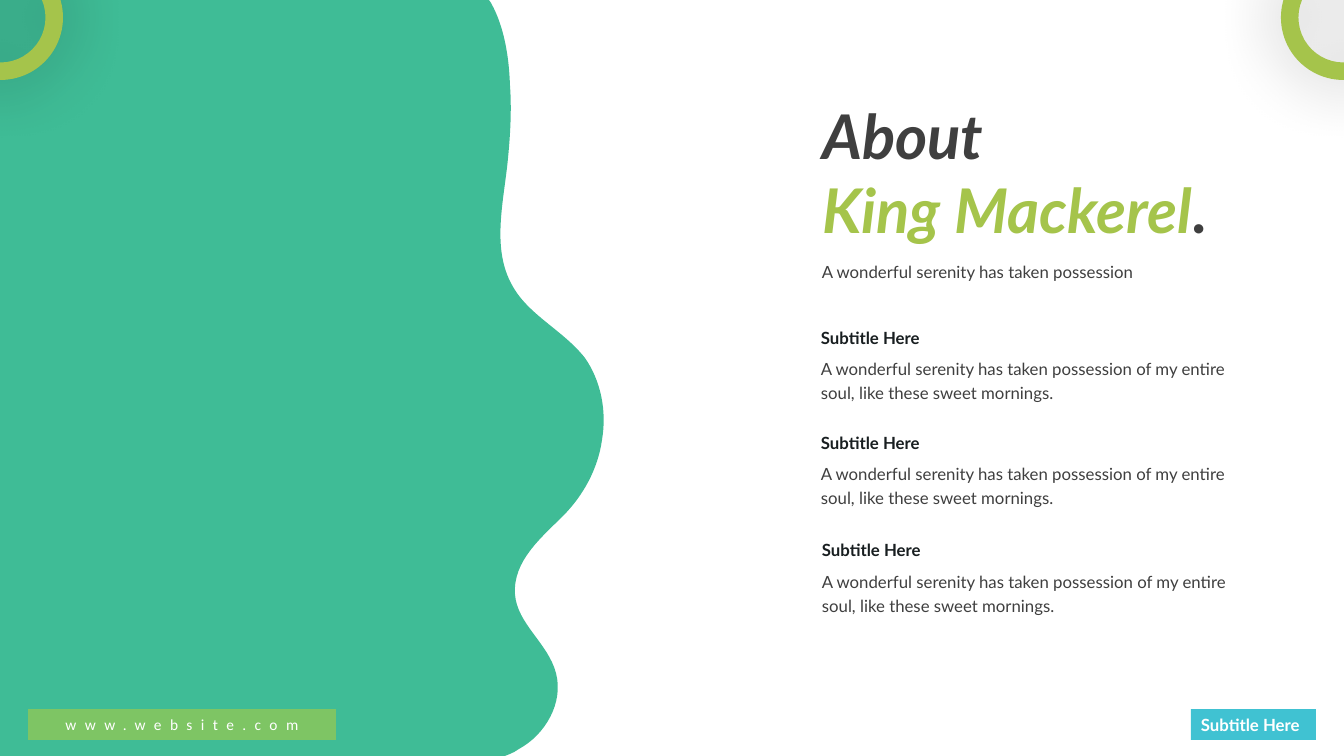
from lxml.etree import SubElement
from pptx import Presentation
from pptx.dml.color import RGBColor
from pptx.enum.shapes import MSO_SHAPE
from pptx.enum.text import MSO_ANCHOR, MSO_AUTO_SIZE, PP_ALIGN
from pptx.oxml.ns import qn
from pptx.util import Pt

UNIT = 12192000 / 1344
DARK, INK, WHITE = "3F3F3F", "181E20", "FFFFFF"
TEAL, LIME, LEAF, SKY = "3FBC96", "A5C44B", "7EC564", "40C2D2"
BODY = ("A wonderful serenity has taken possession of my entire soul, "
        "like these sweet mornings.")
EDGE = [(0, 0), (0, 756), (505, 756), (510, 754)]
WAVE = [
    [(513, 753), (516, 751), (519, 749)],
    [(545, 735), (564, 703), (556, 673)],
    [(548, 643), (517, 624), (515, 594)],
    [(513, 561), (541, 538), (563, 516)],
    [(583, 496), (598, 469), (602, 440)],
    [(607, 411), (601, 381), (585, 358)],
    [(563, 330), (528, 315), (512, 285)],
    [(493, 251), (502, 209), (507, 168)],
    [(510, 141), (512, 112), (510, 85)],
    [(509, 56), (504, 26), (491, 3)],
]
ROWS = [(811, 317, 33), (811, 422, 33), (812, 529, 34)]


def px(size):
    return round(size * UNIT)


def color(code):
    return RGBColor.from_string(code)


def paint(shape, code):
    shape.shadow.inherit = False
    shape.fill.solid()
    shape.fill.fore_color.rgb = color(code)
    shape.line.fill.background()


def style(run, size, code, bold=False, italic=False, face="Lato"):
    font = run.font
    font.name, font.size = face, Pt(size)
    font.bold, font.italic = bold, italic
    font.color.rgb = color(code)


def add_wave(slide):
    pen = slide.shapes.build_freeform(489, 0, scale=UNIT)
    pen.add_line_segments(EDGE + [curve[-1] for curve in WAVE], close=True)
    wave = pen.convert_to_shape()
    paint(wave, TEAL)
    lines = list(wave._element.iter(qn("a:lnTo")))[len(EDGE):]
    for line, curve in zip(lines, WAVE):
        bend = line.makeelement(qn("a:cubicBezTo"))
        for x, y in curve:
            SubElement(bend, qn("a:pt"), x=str(x), y=str(y))
        line.getparent().replace(line, bend)


def add_title(slide):
    title = slide.shapes.title
    title.left, title.top = px(812), px(93)
    title.width, title.height = px(526), px(159)
    frame = title.text_frame
    frame.word_wrap = True
    frame.auto_size = MSO_AUTO_SIZE.NONE
    frame.vertical_anchor = MSO_ANCHOR.TOP
    frame.text = "About\nKing Mackerel"
    frame.paragraphs[1].add_run().text = "."
    for line, codes in zip(frame.paragraphs, ([DARK], [LIME, DARK])):
        line.alignment = PP_ALIGN.LEFT
        for run, code in zip(line.runs, codes):
            style(run, 44, code, True, True)


def add_text(slide, box, text, space, code=DARK, bold=False):
    frame = slide.shapes.add_textbox(*map(px, box)).text_frame
    frame.word_wrap = True
    frame.auto_size = MSO_AUTO_SIZE.SHAPE_TO_FIT_TEXT
    frame.text = text
    line = frame.paragraphs[0]
    line.line_spacing = space
    style(line.runs[0], 12, code, bold)


def add_label(slide, box, text, fill, align):
    label = slide.shapes.add_shape(MSO_SHAPE.RECTANGLE, *map(px, box))
    paint(label, fill)
    frame = label.text_frame
    frame.word_wrap = False
    frame.vertical_anchor = MSO_ANCHOR.MIDDLE
    frame.text = text
    frame.paragraphs[0].alignment = align
    return frame.paragraphs[0].runs[0]


def add_ring(slide, left):
    ring = slide.shapes.add_shape(MSO_SHAPE.DONUT, *map(px, (left, -45, 125, 125)))
    ring.adjustments[0] = 0.14
    paint(ring, LIME)
    glow = ring._element.spPr.find(qn("a:effectLst"))
    shade = SubElement(glow, qn("a:outerShdw"), blurRad=str(Pt(49)),
                       dist="0", dir="0", algn="ctr", rotWithShape="0")
    tint = SubElement(shade, qn("a:srgbClr"), val="000000")
    SubElement(tint, qn("a:alpha"), val="33000")


def main():
    deck = Presentation()
    deck.slide_width, deck.slide_height = px(1344), px(756)
    slide = deck.slides.add_slide(deck.slide_layouts[5])
    add_wave(slide)
    add_title(slide)
    add_text(slide, (812, 247, 446, 37), "A wonderful serenity has taken possession", 1.5)
    for left, top, gap in ROWS:
        add_text(slide, (left, top, 127, 34), "Subtitle Here", 1.3, INK, True)
        add_text(slide, (left, top + gap, 445, 56), BODY, 1.2)
    tag = add_label(slide, (1191, 709, 125, 31), "Subtitle Here", SKY, PP_ALIGN.LEFT)
    style(tag, 12, WHITE, True)
    site = add_label(slide, (28, 709, 308, 31), "www.website.com", LEAF, PP_ALIGN.CENTER)
    style(site, 11, WHITE, face="Calibri")
    site.font._element.set("spc", "600")
    for left in (-62, 1281):
        add_ring(slide, left)
    deck.save("out.pptx")


if __name__ == "__main__":
    main()
